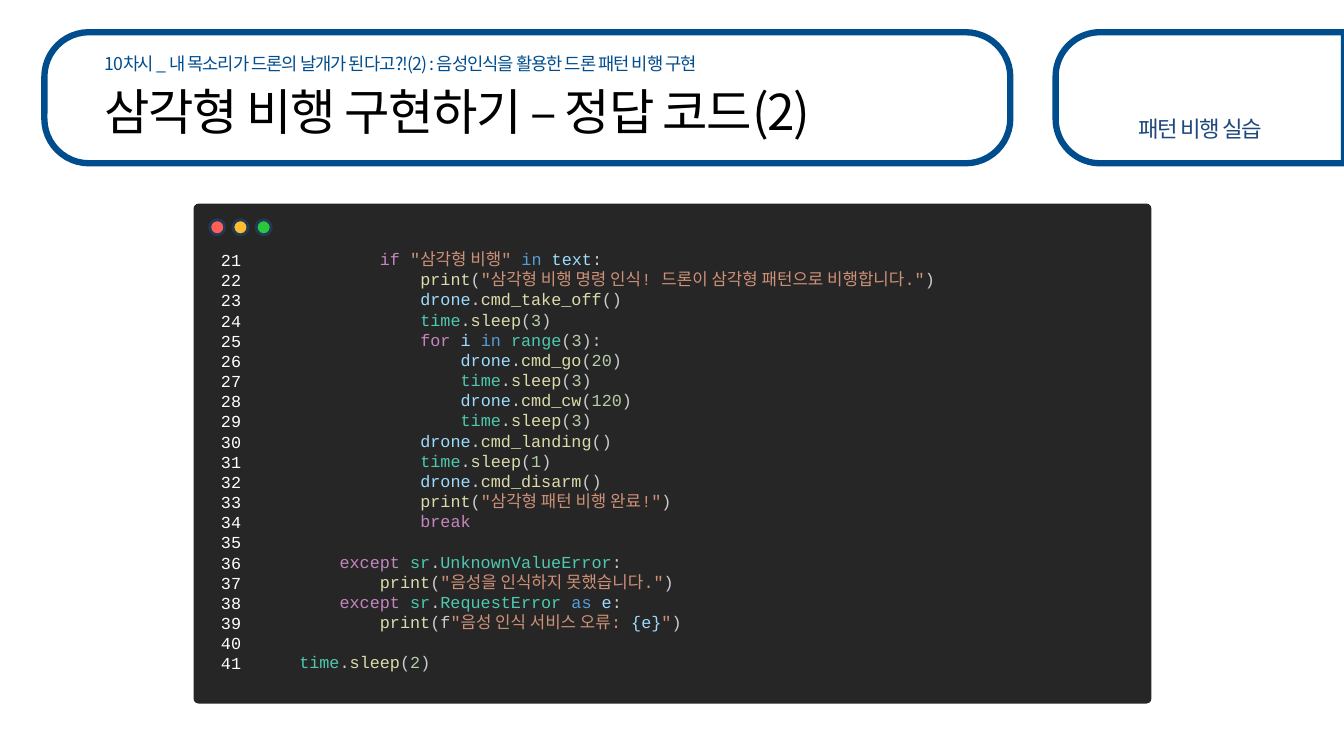
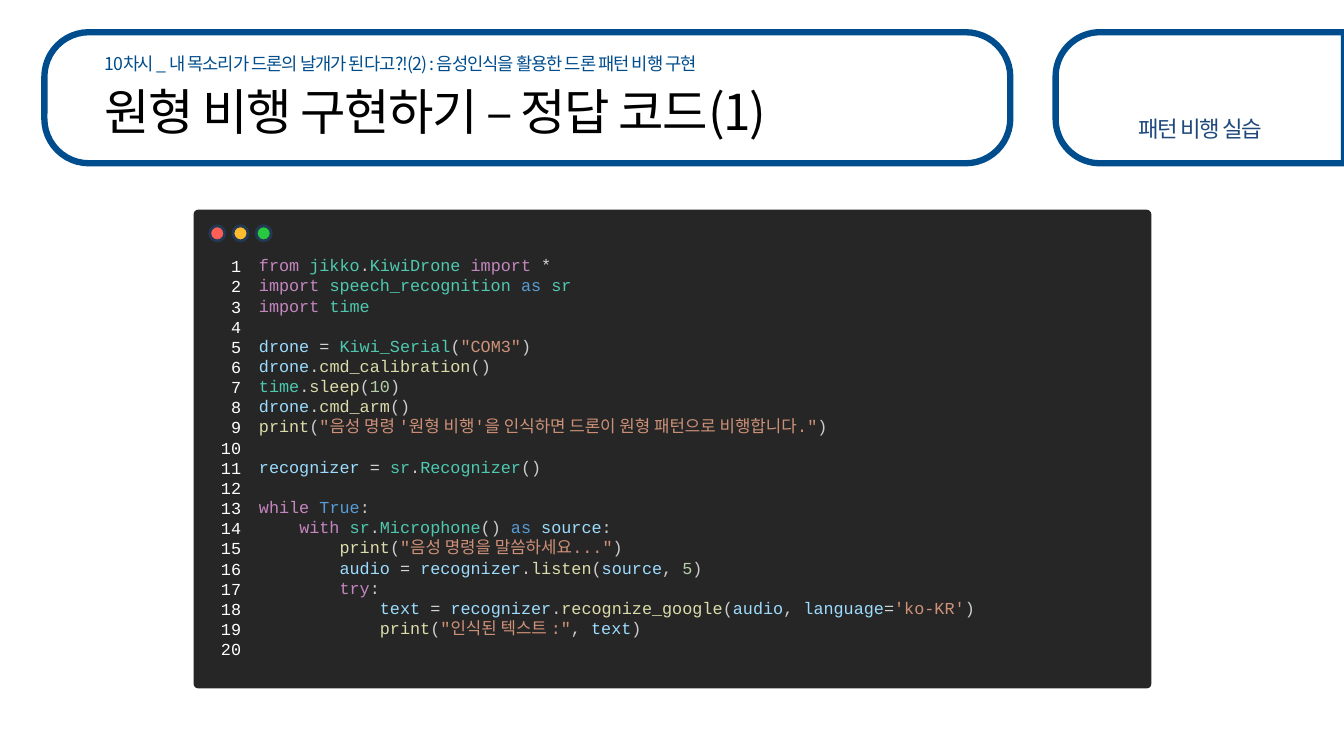
from itertools import groupby
from math import cos, radians, sin

from lxml.etree import SubElement
from pptx import Presentation
from pptx.dml.color import RGBColor
from pptx.enum.shapes import MSO_SHAPE
from pptx.enum.text import MSO_ANCHOR, MSO_AUTO_SIZE, PP_ALIGN
from pptx.oxml.ns import qn
from pptx.util import Inches, Pt

COLORS = {
    "white": "FFFFFF", "black": "000000", "band": "004D8D", "section": "1F497D",
    "panel": "262626", "dot_line": "233953",
    "red": "FF5F56", "yellow": "FFBD2E", "green": "27C93F",
    "plain": "CCCCCC", "operator": "D4D4D4", "keyword": "C586C0", "logic": "569CD6",
    "variable": "9CDCFE", "function": "DCDCAA", "type": "4EC9B0",
    "string": "CE9178", "number": "B5CEA8",
}
KOREAN_FONT = "Noto Sans CJK KR"
CODE_FONT = "Courier New"
LINE_PITCH = Pt(14.4)

# Syntax colouring: the words of each role
ROLE_WORDS = {
    "keyword": "if for break except from import while with try",
    "logic": "in as True",
    "variable": "text drone i e recognizer source audio language",
    "function": "print sleep listen recognize_google cmd_take_off cmd_go cmd_cw "
                "cmd_landing cmd_disarm cmd_calibration cmd_arm",
    "type": "time range sr UnknownValueError RequestError jikko KiwiDrone "
            "speech_recognition Kiwi_Serial Recognizer Microphone",
}
WORD_ROLES = {word: role for role, words in ROLE_WORDS.items() for word in words.split()}

LESSON = [
    ("10차시 _ ", -100),
    ("내 목소리가 드론의 날개가 된다고?!(2) : 음성인식을 활용한 드론 패턴 비행 구현", -70),
]
SECTION = "패턴 비행 실습"

TRIANGLE_CODE = """
            if "삼각형 비행" in text:
                print("삼각형 비행 명령 인식! 드론이 삼각형 패턴으로 비행합니다.")
                drone.cmd_take_off()
                time.sleep(3)
                for i in range(3):
                    drone.cmd_go(20)
                    time.sleep(3)
                    drone.cmd_cw(120)
                    time.sleep(3)
                drone.cmd_landing()
                time.sleep(1)
                drone.cmd_disarm()
                print("삼각형 패턴 비행 완료!")
                break

        except sr.UnknownValueError:
            print("음성을 인식하지 못했습니다.")
        except sr.RequestError as e:
            print(f"음성 인식 서비스 오류: {e}")

    time.sleep(2)
"""

CIRCLE_CODE = """
from jikko.KiwiDrone import *
import speech_recognition as sr
import time

drone = Kiwi_Serial("COM3")
drone.cmd_calibration()
time.sleep(10)
drone.cmd_arm()
print("음성 명령 '원형 비행'을 인식하면 드론이 원형 패턴으로 비행합니다.")

recognizer = sr.Recognizer()

while True:
    with sr.Microphone() as source:
        print("음성 명령을 말씀하세요...")
        audio = recognizer.listen(source, 5)
        try:
            text = recognizer.recognize_google(audio, language='ko-KR')
            print("인식된 텍스트 :", text)

"""

# Title, code, first line number, panel top and panel height
LISTINGS = [
    ("삼각형 비행 구현하기 – 정답 코드(2)", TRIANGLE_CODE, 21, 2.02, 4.96),
    ("원형 비행 구현하기 – 정답 코드(1)", CIRCLE_CODE, 1, 2.08, 4.75),
]


def add_run(paragraph, text, color, size, face, spacing=0):
    run = paragraph.add_run()
    run.text = text
    for name, value in {"size": Pt(size), "name": face, "bold": False}.items():
        setattr(run.font, name, value)
    run.font.color.rgb = RGBColor.from_string(COLORS[color])
    properties = run.font._element
    SubElement(properties, qn("a:ea")).set("typeface", KOREAN_FONT)
    if spacing:
        properties.set("spc", str(spacing))


def split_code(line):
    """Give the pieces of a code line, each with its colour."""
    kinds, quote, in_braces = [], "", False
    for char in line:
        if quote and (in_braces or char == "{"):
            kind, in_braces = "variable", char != "}"
        elif quote:
            kind, quote = "string", "" if char == quote else quote
        elif char in "\"'":
            kind, quote = "string", char
        elif char.isalnum() or char == "_":
            kind = "word"
        else:
            kind = "operator" if char in "=*" else "plain"
        kinds.append(kind)
    for kind, pairs in groupby(zip(kinds, line), key=lambda pair: pair[0]):
        piece = "".join(char for _, char in pairs)
        if kind == "word":
            kind = "number" if piece.isdigit() else WORD_ROLES.get(piece, "plain")
        yield piece, kind


deck = Presentation()
deck.slide_width, deck.slide_height = Inches(13.33), Inches(7.5)
layout = deck.slide_layouts[3]

# Places of the title, lesson line and section label, shared by all slides
PLACES = {0: (0.94, 0.8, 8.61, 0.59), 1: (0.94, 0.52, 8.61, 0.31), 2: (11.06, 1.14, 1.69, 0.39)}
for placeholder in layout.placeholders:
    place = PLACES.get(placeholder.placeholder_format.idx)
    if place:
        for name, value in zip(("left", "top", "width", "height"), place):
            setattr(placeholder, name, Inches(value))

slides = [deck.slides.add_slide(layout) for _ in LISTINGS]

# Header bands, drawn once and moved to the layout
left, top, right, bottom, radius = 10.47, 0.32, 13.33, 1.62, 0.44
corner = [(left + radius * (1 - sin(radians(a))), top + radius * (1 - cos(radians(a))))
          for a in range(0, 91, 5)]
outline = [(right, top), (right, bottom)]
outline += [(x, top + bottom - y) for x, y in corner] + corner[::-1]
start, *rest = [(Inches(x), Inches(y)) for x, y in outline]
builder = slides[0].shapes.build_freeform(*start)
builder.add_line_segments(rest, close=True)
section_band = builder.convert_to_shape()
title_band = slides[0].shapes.add_shape(
    MSO_SHAPE.ROUNDED_RECTANGLE, Inches(0.44), Inches(0.32), Inches(9.58), Inches(1.3))
title_band.adjustments[0] = 0.34
for band in (section_band, title_band):
    band.shadow.inherit = False
    band.fill.solid()
    band.fill.fore_color.rgb = RGBColor.from_string(COLORS["white"])
    band.line.color.rgb = RGBColor.from_string(COLORS["band"])
    band.line.width = Pt(4.5)
    layout.shapes._spTree.append(band._element)

HEADER_FORMAT = {
    "margin_top": 0, "margin_bottom": 0, "word_wrap": True,
    "auto_size": MSO_AUTO_SIZE.NONE, "vertical_anchor": MSO_ANCHOR.TOP,
}

for slide, (title, code, first_number, panel_top, panel_height) in zip(slides, LISTINGS):
    # Header texts
    headers = [
        (0, [(title, -100)], "black", 35.3, PP_ALIGN.LEFT),
        (1, LESSON, "band", 12.6, PP_ALIGN.LEFT),
        (2, [(SECTION, -100)], "section", 16, PP_ALIGN.CENTER),
    ]
    for index, pieces, color, size, alignment in headers:
        frame = slide.placeholders[index].text_frame
        for name, value in HEADER_FORMAT.items():
            setattr(frame, name, value)
        paragraph = frame.paragraphs[0]
        paragraph.alignment = alignment
        paragraph.space_before = Pt(0)
        settings = paragraph._p.get_or_add_pPr()
        settings.set("marL", "0")
        settings.set("indent", "0")
        SubElement(settings, qn("a:buNone"))
        for text, spacing in pieces:
            add_run(paragraph, text, color, size, KOREAN_FONT, spacing)

    # Code window with its three buttons
    window = [(MSO_SHAPE.ROUNDED_RECTANGLE, 1.92, panel_top, 9.5, panel_height, "panel")]
    window += [(MSO_SHAPE.OVAL, 2.08 + 0.23 * i, panel_top + 0.16, 0.15, 0.15, color)
               for i, color in enumerate(("red", "yellow", "green"))]
    for preset, x, y, width, height, color in window:
        part = slide.shapes.add_shape(
            preset, Inches(x), Inches(y), Inches(width), Inches(height))
        part.shadow.inherit = False
        part.fill.solid()
        part.fill.fore_color.rgb = RGBColor.from_string(COLORS[color])
        if color == "panel":
            part.adjustments[0] = 0.01
            part.line.fill.background()
        else:
            part.line.color.rgb = RGBColor.from_string(COLORS["dot_line"])
            part.line.width = Pt(2)

    # Code and line numbers
    code_frame, number_frame = [
        slide.shapes.add_textbox(
            Inches(x), Inches(panel_top + offset), Inches(width), Inches(4.4)).text_frame
        for x, offset, width in ((2.47, 0.4, 8.44), (2.06, 0.41, 0.43))]
    code_frame.word_wrap = number_frame.word_wrap = True
    gap = 0
    for number, line in enumerate(code[1:].splitlines(), first_number):
        is_first = number == first_number
        numbering = number_frame.paragraphs[0] if is_first else number_frame.add_paragraph()
        numbering.alignment = PP_ALIGN.RIGHT
        numbering.line_spacing = LINE_PITCH
        add_run(numbering, str(number), "white", 12, CODE_FONT)
        if not line:
            gap += LINE_PITCH
            continue
        statement = code_frame.paragraphs[0] if is_first else code_frame.add_paragraph()
        statement.line_spacing = LINE_PITCH
        statement.space_before = gap
        gap = 0
        for piece, role in split_code(line):
            add_run(statement, piece, role, 12, CODE_FONT)

deck.save("out.pptx")
